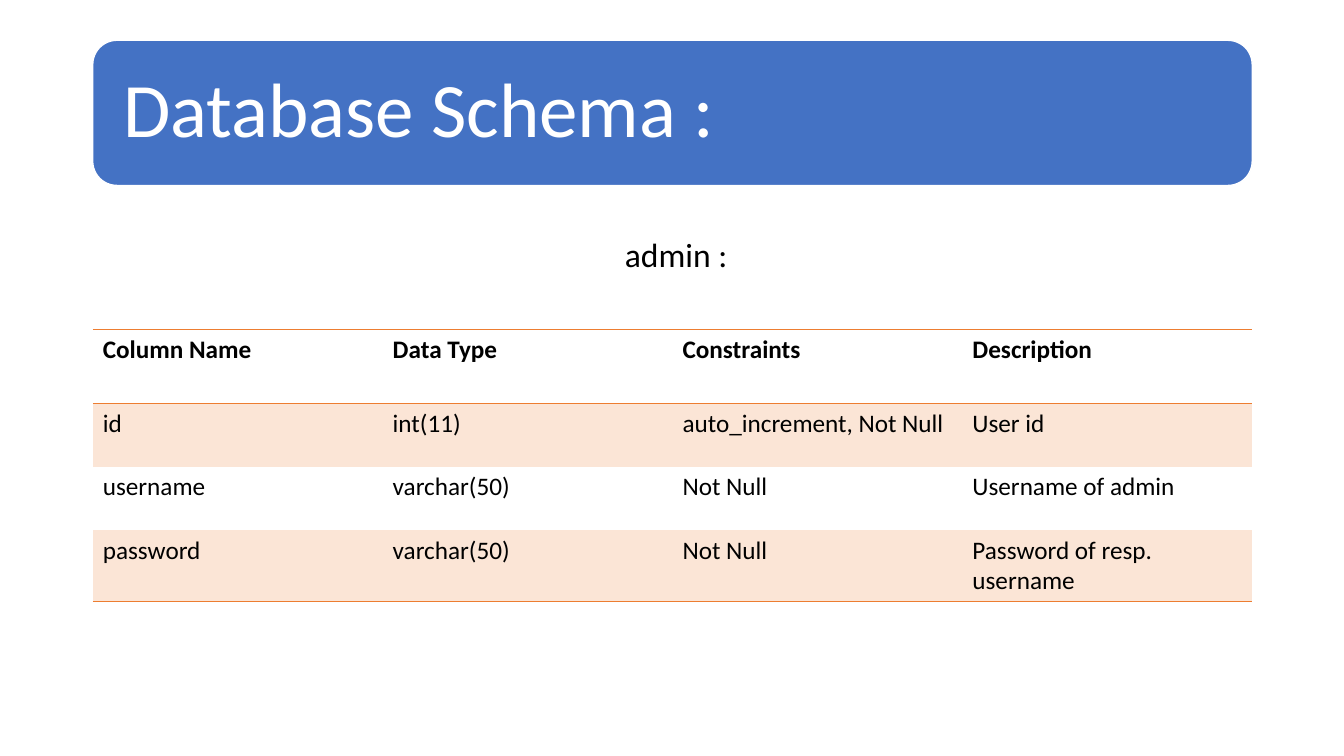
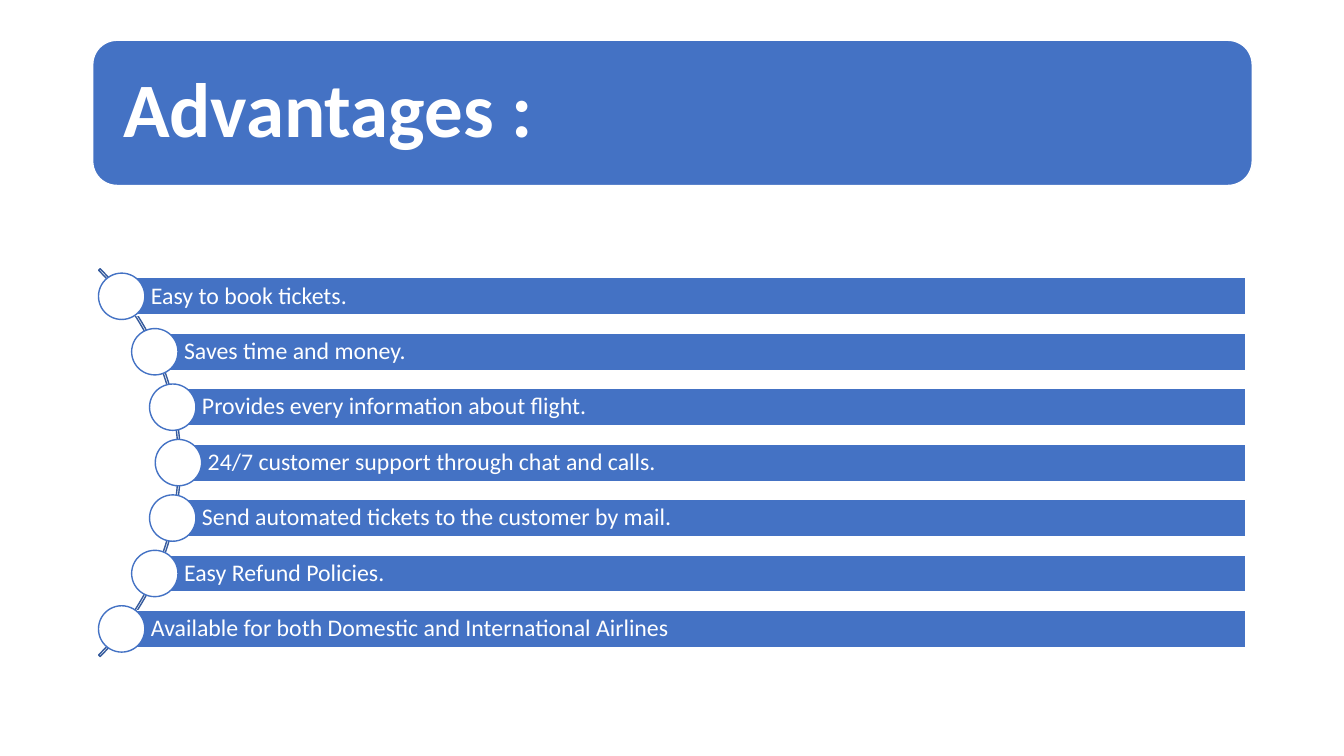
"""Build the database schema and advantages slides."""
import math
from dataclasses import dataclass

import lxml.etree
import pptx
import pptx.dml.color
import pptx.enum.shapes
import pptx.enum.text
import pptx.oxml.ns
import pptx.util

Inches = pptx.util.Inches
Pt = pptx.util.Pt
Shape = pptx.enum.shapes.MSO_SHAPE
qn = pptx.oxml.ns.qn

FONT = "Calibri"
BLUE, DARK_BLUE, WHITE, BLACK = "4472C4", "365B9D", "FFFFFF", "000000"
ORANGE, PALE_ORANGE = "ED7D31", "FBE5D6"
NO_STYLE = "{2D5ABB26-0587-4C30-8999-92F81FD0307C}"
LEFT, WIDTH = 0.92, 11.5

SCHEMA = [
    ["Column Name", "Data Type", "Constraints", "Description"],
    ["id", "int(11)", "auto_increment, Not Null", "User id"],
    ["username", "varchar(50)", "Not Null", "Username of admin"],
    ["password", "varchar(50)", "Not Null", "Password of resp. username"],
]
ADVANTAGES = [
    "Easy to book tickets.",
    "Saves time and money.",
    "Provides every information about flight.",
    "24/7 customer support through chat and calls.",
    "Send automated tickets to the customer by mail.",
    "Easy Refund Policies.",
    "Available for both Domestic and International Airlines",
]


@dataclass(frozen=True)
class Box:
    """A rectangle in inches."""

    x: float
    y: float
    w: float
    h: float

    def emu(self) -> tuple:
        """Return the four lengths for python-pptx."""
        return tuple(Inches(v) for v in (self.x, self.y, self.w, self.h))


@dataclass(frozen=True)
class TextStyle:
    """Size, colour and weight of a text."""

    size: float
    color: str
    bold: bool = False


def rgb(value: str) -> pptx.dml.color.RGBColor:
    """Turn a hex string into a colour."""
    return pptx.dml.color.RGBColor.from_string(value)


def write(tf, text: str, style: TextStyle, spacing: float = 1.0) -> None:
    """Set and format one left-aligned paragraph."""
    tf.text = text
    p = tf.paragraphs[0]
    p.alignment = pptx.enum.text.PP_ALIGN.LEFT
    p.line_spacing = spacing
    for r in p.runs:
        r.font.name = FONT
        r.font.size = Pt(style.size)
        r.font.bold = style.bold
        r.font.color.rgb = rgb(style.color)


def set_frame(tf, left: float, other: float) -> None:
    """Centre the text vertically and set the insets."""
    tf.word_wrap = True
    tf.auto_size = pptx.enum.text.MSO_AUTO_SIZE.NONE
    tf.vertical_anchor = pptx.enum.text.MSO_ANCHOR.MIDDLE
    tf.margin_left = Inches(left)
    tf.margin_right = tf.margin_top = tf.margin_bottom = Inches(other)


def add_shape(s, kind, box: Box, fill: str | None, line: str):
    """Add a flat preset shape with a thin outline."""
    sp = s.shapes.add_shape(kind, *box.emu())
    sp.shadow.inherit = False
    if fill:
        sp.fill.solid()
        sp.fill.fore_color.rgb = rgb(fill)
    else:
        sp.fill.background()
    sp.line.color.rgb = rgb(line)
    sp.line.width = Pt(1)
    return sp


def add_titled_slide(prs, title: str, bold: bool = False):
    """Add a slide whose title sits on the rounded band."""
    s = prs.slides.add_slide(prs.slide_layouts[5])
    sp = s.shapes.title
    sp.left, sp.top, sp.width, sp.height = Box(0.99, 0.47, 11.36, 1.3).emu()
    set_frame(sp.text_frame, 0.23, 0.23)
    write(sp.text_frame, title, TextStyle(55, WHITE, bold), 0.9)
    band = add_shape(s, Shape.ROUNDED_RECTANGLE, Box(LEFT, 0.4, WIDTH, 1.44), BLUE, WHITE)
    sp._element.addprevious(band._element)
    return s


def add_border(cell, side: str) -> None:
    """Draw one orange edge of a cell."""
    ln = lxml.etree.SubElement(cell._tc.get_or_add_tcPr(), qn(f"a:{side}"), w=str(Pt(1)))
    fill = lxml.etree.SubElement(ln, qn("a:solidFill"))
    lxml.etree.SubElement(fill, qn("a:srgbClr"), val=ORANGE)


def add_schema_table(s, rows: list[list[str]]) -> None:
    """Add the table with tinted odd rows and ruled header and foot."""
    header_h, row_h = 0.73, 0.63
    last = len(rows) - 1
    box = Box(LEFT, 3.27, WIDTH, header_h + last * row_h)
    table = s.shapes.add_table(len(rows), len(rows[0]), *box.emu()).table
    table._tbl.tblPr.find(qn("a:tableStyleId")).text = NO_STYLE
    for i, values in enumerate(rows):
        table.rows[i].height = Inches(row_h if i else header_h)
        for j, value in enumerate(values):
            cell = table.cell(i, j)
            write(cell.text_frame, value, TextStyle(18, BLACK, i == 0))
            if i == 0:
                add_border(cell, "lnT")
            if i in (0, last):
                add_border(cell, "lnB")
            if i % 2:
                cell.fill.solid()
                cell.fill.fore_color.rgb = rgb(PALE_ORANGE)
            else:
                cell.fill.background()


def add_curved_list(s, items: list[str]) -> None:
    """Add bars whose round markers follow an arc."""
    cx, cy, outer, radius = -0.93, 4.59, 2.72, 2.7
    pitch, bar_h, dot, right = 0.55, 0.37, 0.46, 12.36
    arc_box = Box(cx - outer, cy - outer, 2 * outer, 2 * outer)
    arc = add_shape(s, Shape.BLOCK_ARC, arc_box, None, DARK_BLUE)
    for k, value in enumerate((189, 27, 0.004)):
        arc.adjustments[k] = value
    for i, item in enumerate(items):
        dy = (i - (len(items) - 1) / 2) * pitch
        x, y = cx + math.sqrt(radius**2 - dy**2), cy + dy
        bar = add_shape(s, Shape.RECTANGLE, Box(x, y - bar_h / 2, right - x, bar_h), BLUE, WHITE)
        set_frame(bar.text_frame, 0.29, 0.05)
        write(bar.text_frame, item, TextStyle(17, WHITE), 0.9)
        add_shape(s, Shape.OVAL, Box(x - dot / 2, y - dot / 2, dot, dot), WHITE, BLUE)


def main() -> None:
    """Build and save the presentation."""
    prs = pptx.Presentation()
    prs.slide_width, prs.slide_height = Inches(13.33), Inches(7.5)

    s = add_titled_slide(prs, "Database Schema :")
    add_schema_table(s, SCHEMA)
    tf = s.shapes.add_textbox(*Box(6.1, 2.27, 1.44, 0.5).emu()).text_frame
    tf.word_wrap = True
    write(tf, "admin :", TextStyle(24, BLACK))

    s = add_titled_slide(prs, "Advantages :", bold=True)
    add_curved_list(s, ADVANTAGES)

    prs.save("out.pptx")


if __name__ == "__main__":
    main()
